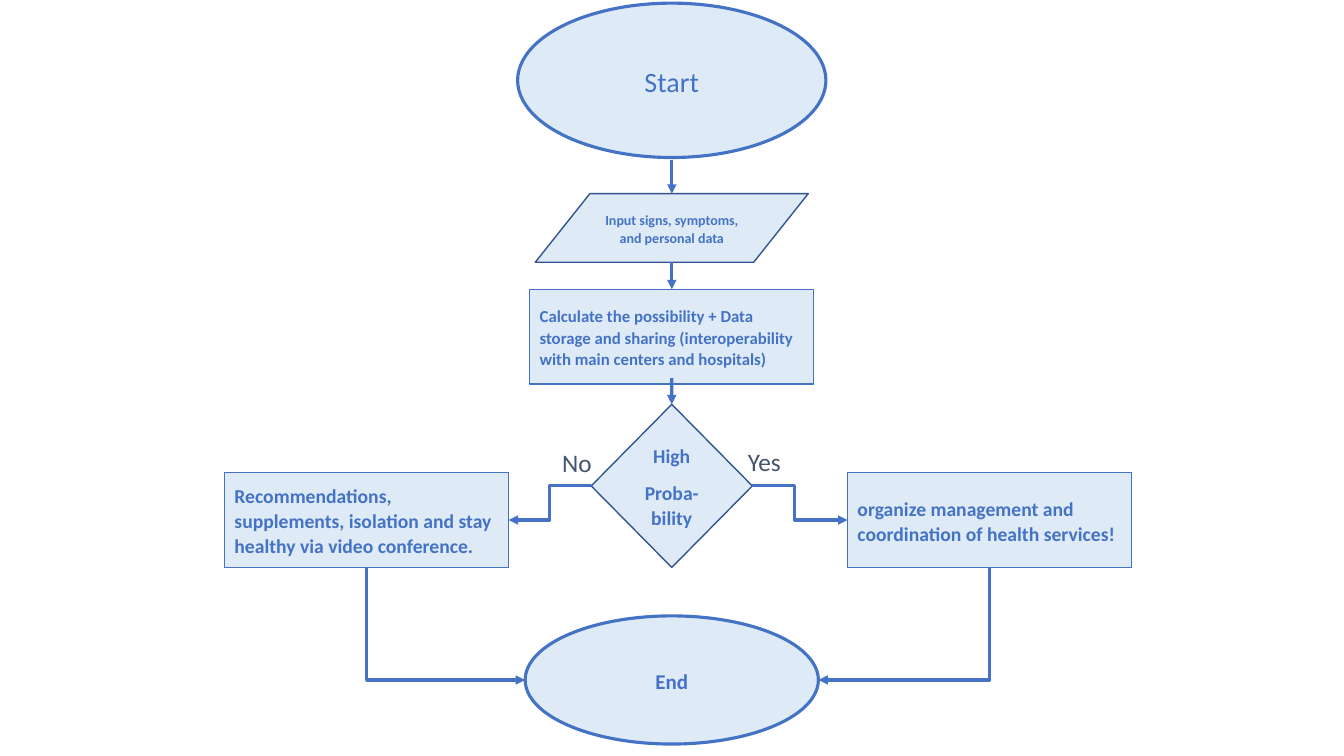
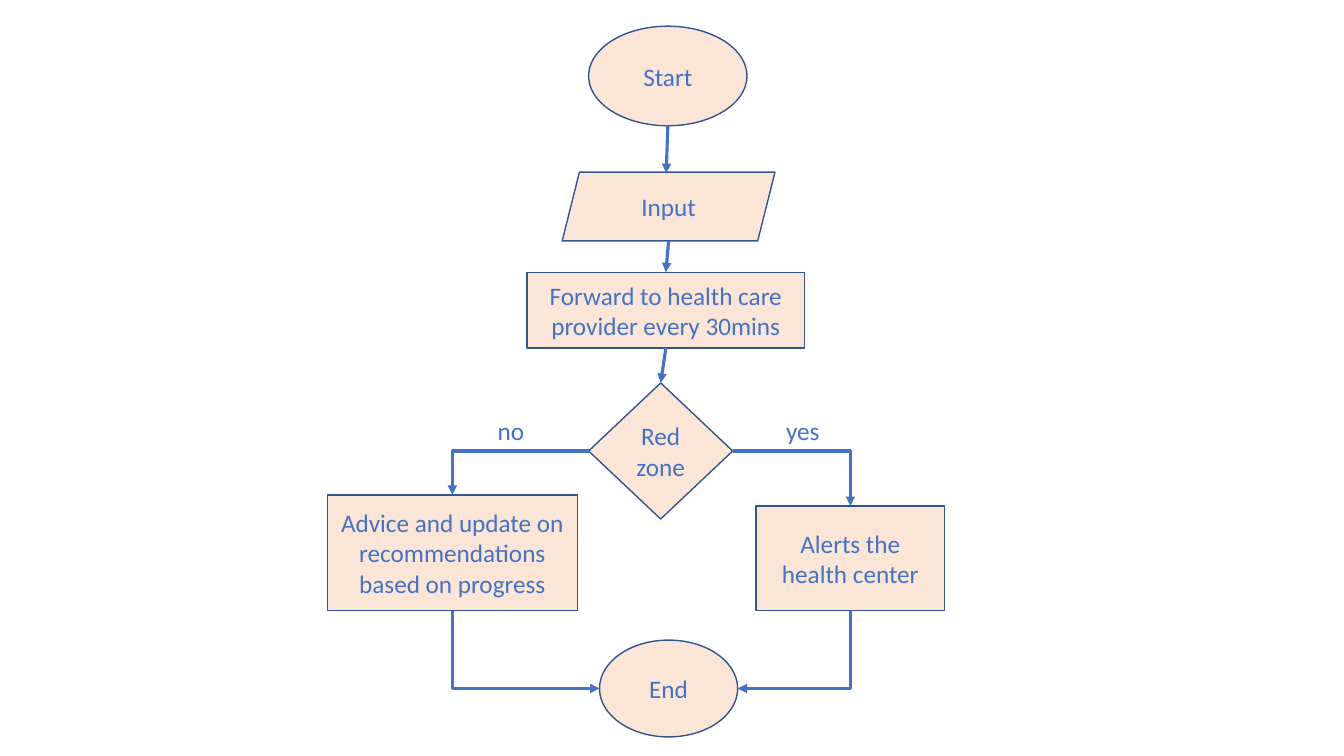
from dataclasses import dataclass
from lxml.etree import SubElement as Sub
from pptx import Presentation
from pptx.dml.color import RGBColor as Rgb
from pptx.enum.shapes import MSO_CONNECTOR as Wire, MSO_SHAPE as Kind
from pptx.enum.text import MSO_ANCHOR as Anchor, PP_ALIGN as Align
from pptx.oxml.ns import qn
from pptx.util import Cm, Pt


@dataclass
class Theme:
    font: str = "Calibri"
    blue: str = "4472C4"
    navy: str = "325491"
    slate: str = "44546A"
    sky: str = "DEEBF7"
    peach: str = "FBE5D6"
    thin: float = 1
    bold: float = 2.25
    tiny: int = 10
    small: int = 12
    mid: int = 14
    end: int = 15
    body: int = 18
    big: int = 20


look = Theme()
TOP, LEFT, BOTTOM, RIGHT = range(4)


def node(slide, kind, text, box, fill=None, edge=look.navy, width=look.thin,
         size=look.body, color=look.blue, bold=False, align=Align.CENTER, loose=False):
    """Add a shape, or a plain label if kind is None; box is centre x, top, width, height."""
    mid, top, wide, high = box
    place = Cm(mid - wide / 2), Cm(top), Cm(wide), Cm(high)
    if kind is None:
        item = slide.shapes.add_textbox(*place)
    else:
        item = slide.shapes.add_shape(kind, *place)
        item.shadow.inherit = False
        item.fill.solid()
        item.fill.fore_color.rgb = Rgb.from_string(fill)
        item.line.color.rgb = Rgb.from_string(edge)
        item.line.width = Pt(width)
        item.text_frame.vertical_anchor = Anchor.MIDDLE
    frame = item.text_frame
    frame.word_wrap = True
    frame.text = text
    for para in frame.paragraphs:
        para.alignment = align
        font = para.font
        font.name, font.size, font.bold = look.font, Pt(size), bold
        font.color.rgb = Rgb.from_string(color)
        if loose:
            para.line_spacing, para.space_after = 1.07, Pt(8)
    return item


def wire(slide, start, stop, bend=None, turn=None, back=False):
    """Link two ends, each (shape, side) or (x, y); back puts the arrow at the start."""
    form = Wire.ELBOW if bend else Wire.STRAIGHT
    spots = [Cm(v) if isinstance(v, (int, float)) and not hasattr(end[0], "width") else 0
             for end in (start, stop) for v in end]
    link = slide.shapes.add_connector(form, *spots)
    for end, join, tag in ((start, link.begin_connect, "a:stCxn"),
                           (stop, link.end_connect, "a:endCxn")):
        if hasattr(end[0], "width"):
            join(*end)
            # An ellipse has eight sites, so its side numbers double
            if end[0].auto_shape_type == Kind.OVAL:
                next(link.element.iter(qn(tag))).set("idx", str(end[1] * 2))
    link.line.color.rgb = Rgb.from_string(look.blue)
    link.line.width = Pt(look.bold)
    props = link.element.spPr
    if bend:
        shape = props.find(qn("a:prstGeom"))
        shape.set("prst", f"bentConnector{bend}")
        if turn:
            Sub(shape.find(qn("a:avLst")), qn("a:gd"), name="adj1", fmla=f"val {turn}")
    Sub(props.find(qn("a:ln")), qn("a:headEnd" if back else "a:tailEnd"), type="triangle")
    Sub(props, qn("a:effectLst"))


deck = Presentation()
deck.slide_width, deck.slide_height = Cm(33.87), Cm(19.05)
blank = deck.slide_layouts[6]

# Slide 1: triage by probability
page = deck.slides.add_slide(blank)
axis = 16.93
sky = dict(fill=look.sky, loose=True)
oval = dict(sky, edge=look.blue, width=look.bold)
card = dict(sky, edge=look.blue, bold=True, align=Align.LEFT)

node(page, Kind.OVAL, "Start", (axis, 0.08, 7.77, 3.89), size=look.big, **oval)
node(page, Kind.FLOWCHART_DATA, "Input signs, symptoms, and personal data",
     (axis, 4.88, 6.88, 1.73), size=look.tiny, bold=True, **sky)
calc = node(page, Kind.RECTANGLE,
            "Calculate the possibility + Data storage and sharing "
            "(interoperability with main centers and hospitals)",
            (axis, 7.29, 7.16, 2.39), size=look.small, **card)
test = node(page, Kind.DIAMOND, "High\nProba-bility", (axis, 10.19, 4.06, 4.11),
            size=look.mid, bold=True, **sky)
end = node(page, Kind.OVAL, "End", (axis, 15.52, 7.39, 3.23),
           size=look.end, bold=True, **oval)
care = node(page, Kind.RECTANGLE, "organize management and coordination of health services!",
            (24.94, 11.91, 7.16, 2.39), size=look.mid, **card)
home = node(page, Kind.RECTANGLE,
            "Recommendations, supplements, isolation and stay healthy via video conference.",
            (9.24, 11.91, 7.16, 2.39), size=look.mid, **card)

# Slide 1: arrows and branch labels
wire(page, (axis, 4.04), (axis, 4.88))
wire(page, (axis, 6.61), (calc, TOP))
wire(page, (axis, 9.53), (test, TOP))
wire(page, (test, RIGHT), (care, LEFT), bend=3, turn=44600)
wire(page, (test, LEFT), (home, RIGHT), bend=3, turn=50000)
for side, box in ((LEFT, home), (RIGHT, care)):
    wire(page, (end, side), (box, BOTTOM), bend=2, back=True)
for text, box in (("Yes", (19.55, 11.13, 1.9, 1.02)), ("No", (14.59, 11.15, 1.35, 1.02))):
    node(page, None, text, box, color=look.slate, align=Align.LEFT)

# Slide 2: monitoring loop
page = deck.slides.add_slide(blank)
start, data, send, zone, tips, alert, end = [
    node(page, kind, text, box, fill=look.peach) for kind, text, box in (
        (Kind.OVAL, "Start", (16.83, 0.66, 3.99, 2.51)),
        (Kind.PARALLELOGRAM, "Input", (16.85, 4.34, 5.36, 1.73)),
        (Kind.RECTANGLE, "Forward to health care provider every 30mins",
         (16.78, 6.86, 6.99, 1.91)),
        (Kind.DIAMOND, "Red zone", (16.65, 9.65, 3.63, 3.43)),
        (Kind.RECTANGLE, "Advice and update on recommendations based on progress",
         (11.4, 12.47, 6.3, 2.92)),
        (Kind.RECTANGLE, "Alerts the health center", (21.43, 12.75, 4.75, 2.64)),
        (Kind.OVAL, "End", (16.85, 16.13, 3.48, 2.44)),
    )]

# Slide 2: arrows and branch labels
wire(page, (start, BOTTOM), (16.79, 4.36))
wire(page, (16.85, 6.07), (send, TOP))
wire(page, (send, BOTTOM), (zone, TOP))
for side, box in ((LEFT, tips), (RIGHT, alert)):
    wire(page, (zone, side), (box, TOP), bend=2)
    wire(page, (end, side), (box, BOTTOM), bend=2, back=True)
for text, box in (("yes", (20.31, 10.34, 1.5, 1.02)), ("no", (13.23, 10.34, 1.88, 1.02))):
    node(page, None, text, box, align=Align.LEFT)

deck.save("out.pptx")
